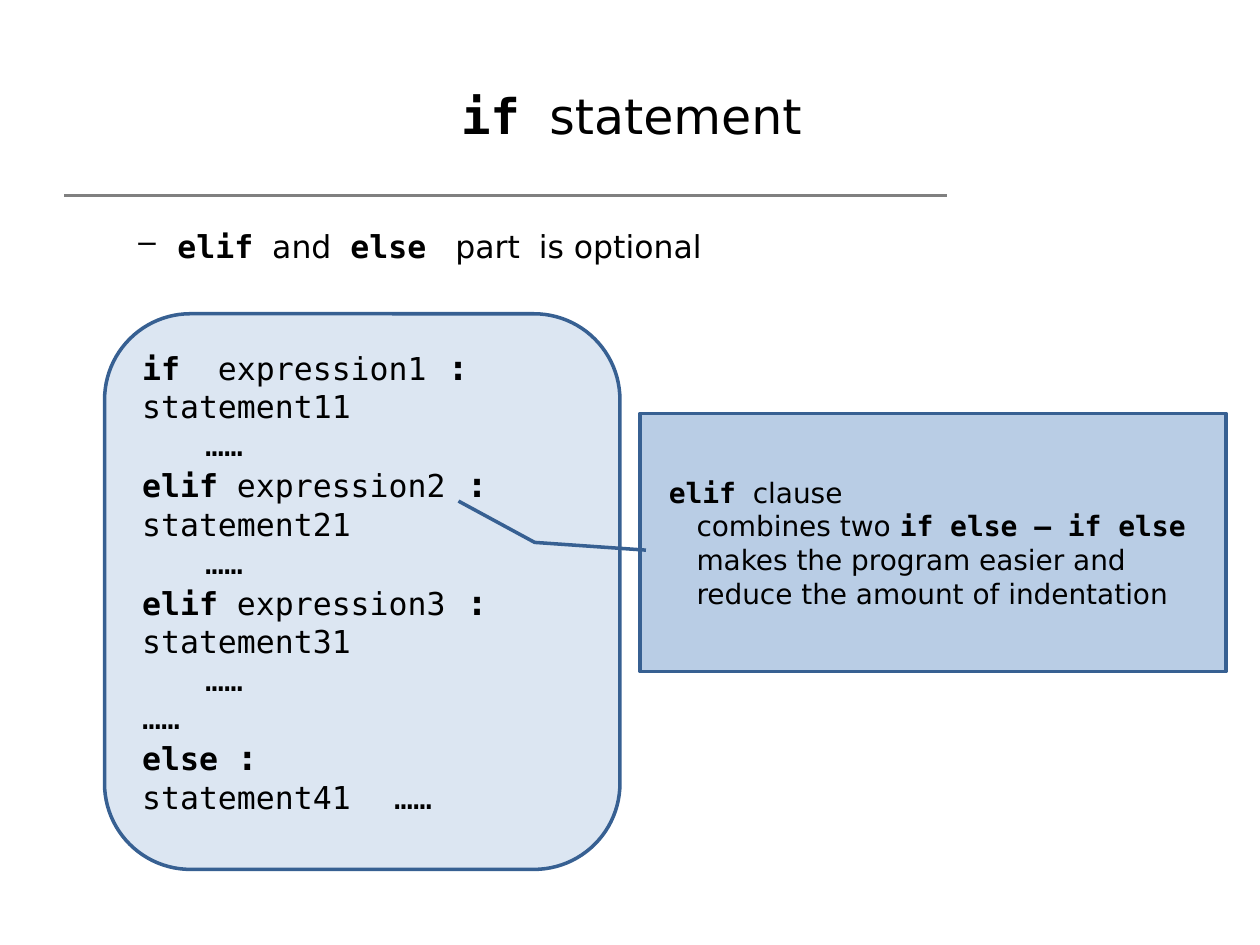
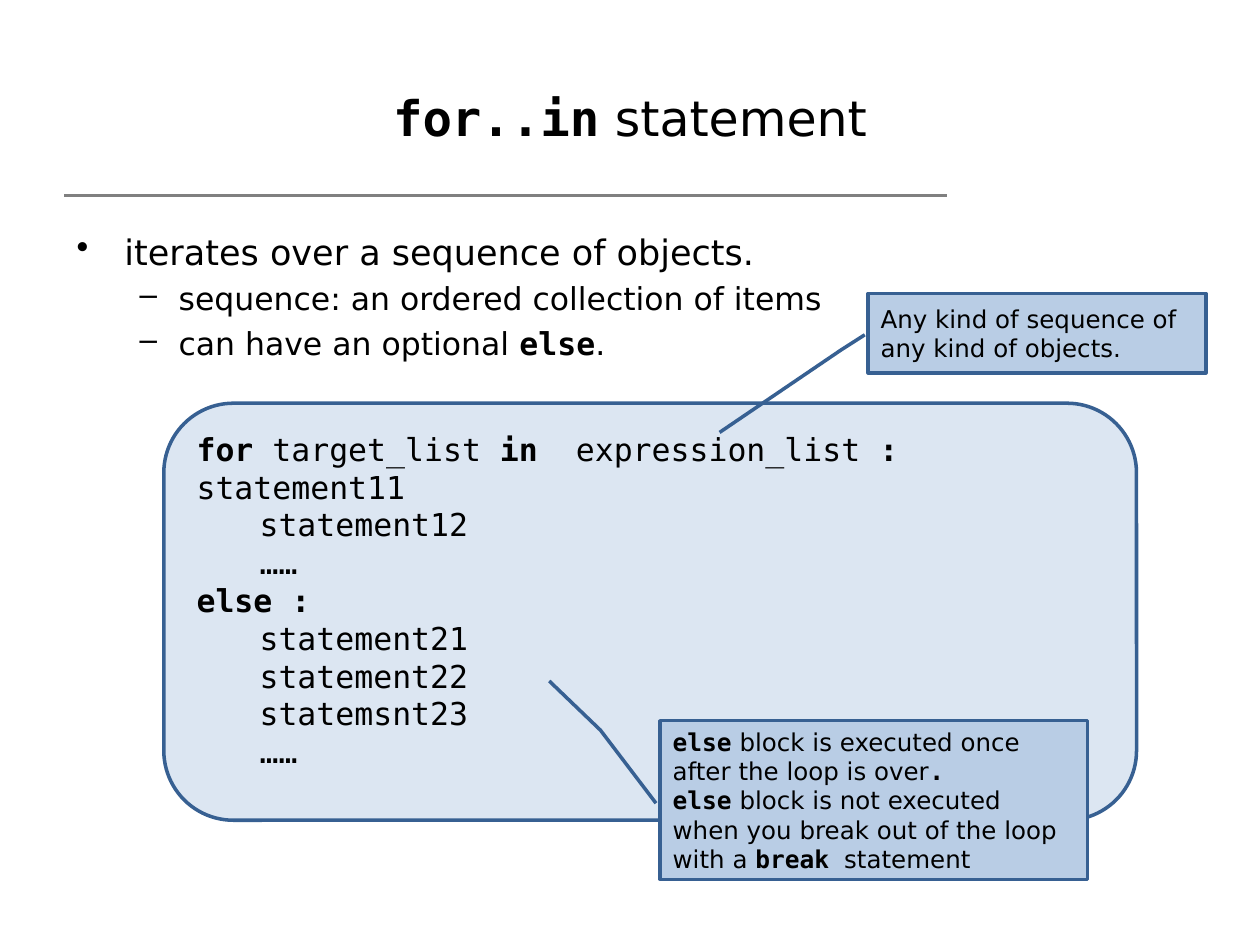
"""Build two slides on the if and for..in statements."""
from dataclasses import dataclass
from typing import Optional

from lxml import etree
from pptx import Presentation
from pptx import util as u
from pptx.dml.color import RGBColor
from pptx.enum import shapes, text
from pptx.oxml import ns

PX = 9144
COLORS = {"ink": "000000", "rule": "808080", "edge": "376092", "code": "DCE6F2", "note": "B9CDE5"}
SANS, MONO = "DejaVu Sans", "DejaVu Sans Mono"
TITLE_SIZE, CODE_SIZE = 28, 18


@dataclass(frozen=True)
class Run:
    text: str
    font: str = SANS
    bold: bool = False
    size: Optional[int] = None


@dataclass(frozen=True)
class Line:
    runs: tuple[Run, ...]
    size: int
    margin: int = 0
    hanging: int = 0
    bullet: str = ""
    before: int = 0


@dataclass(frozen=True)
class Box:
    left: int
    top: int
    width: int
    height: int

    def emu(self) -> tuple[int, ...]:
        return tuple(side * PX for side in (self.left, self.top, self.width, self.height))


@dataclass(frozen=True)
class Callout:
    box: Box
    pointer: tuple[float, ...]
    lines: tuple[Line, ...]


BREAK = Run("\n", MONO)


def keyword(words: str, size: Optional[int] = None) -> Run:
    return Run(words, MONO, True, size)


def code(words: str) -> Run:
    return Run(words, MONO)


def code_line(*runs: Run) -> Line:
    return Line(runs, CODE_SIZE)


def indented(words: str, bold: bool = False) -> Line:
    return code_line(Run("\t" + words, MONO, bold))


def bullet(*runs: Run, before: int = 4) -> Line:
    return Line(runs, 20, 38, 38, "•", before)


def dash(*runs: Run, before: int = 4) -> Line:
    return Line(runs, 18, 81, 31, "–", before)


def branch(word: str, condition: str, statement: str) -> tuple[Line, ...]:
    """Return a condition line with its first statement, then an ellipsis."""
    return (code_line(keyword(word), code(condition), keyword(" :", 20), BREAK, code(statement)),
            indented("……"))


def write(frame, lines: tuple[Line, ...], anchor=text.MSO_ANCHOR.TOP, align=text.PP_ALIGN.LEFT) -> None:
    frame.word_wrap = True
    frame.auto_size = text.MSO_AUTO_SIZE.NONE
    frame.vertical_anchor = anchor
    for index, line in enumerate(lines):
        paragraph = frame.paragraphs[0] if index == 0 else frame.add_paragraph()
        paragraph.alignment = align
        paragraph.space_before = u.Pt(line.before)
        properties = paragraph._p.get_or_add_pPr()
        properties.set("marL", str(line.margin * PX))
        properties.set("indent", str(-line.hanging * PX))
        if line.bullet:
            etree.SubElement(properties, ns.qn("a:buChar")).set("char", line.bullet)
        for part in line.runs:
            if part == BREAK:
                paragraph.add_line_break()
                continue
            run = paragraph.add_run()
            run.text = part.text
            run.font.name = part.font
            run.font.bold = part.bold
            run.font.size = u.Pt(part.size or line.size)
            run.font.color.rgb = RGBColor.from_string(COLORS["ink"])


def add_panel(slide, kind, box: Box, fill: str, lines: tuple[Line, ...], anchor):
    shape = slide.shapes.add_shape(kind, *box.emu())
    shape.shadow.inherit = False
    shape.fill.solid()
    shape.fill.fore_color.rgb = RGBColor.from_string(COLORS[fill])
    shape.line.color.rgb = RGBColor.from_string(COLORS["edge"])
    shape.line.width = u.Pt(2)
    write(shape.text_frame, lines, anchor)
    return shape


def add_code(slide, box: Box, lines: tuple[Line, ...]) -> None:
    add_panel(slide, shapes.MSO_SHAPE.ROUNDED_RECTANGLE, box, "code", lines, text.MSO_ANCHOR.TOP)


def add_callout(slide, callout: Callout) -> None:
    shape = add_panel(slide, shapes.MSO_SHAPE.LINE_CALLOUT_2, callout.box, "note",
                      callout.lines, text.MSO_ANCHOR.MIDDLE)
    for index, value in enumerate(callout.pointer):
        shape.adjustments[index] = value


def add_rule(slide) -> None:
    rule = slide.shapes.add_connector(shapes.MSO_CONNECTOR.STRAIGHT, 51 * PX, 155 * PX, 752 * PX, 155 * PX)
    rule.line.color.rgb = RGBColor.from_string(COLORS["rule"])
    rule.line.width = u.Pt(1.75)
    etree.SubElement(rule._element.spPr, ns.qn("a:effectLst"))


def add_slide(presentation, title_box: Box, title: tuple[Run, ...], body_box: Box, body: tuple[Line, ...]):
    slide = presentation.slides.add_slide(presentation.slide_layouts[5])
    add_rule(slide)
    shape = slide.shapes.title
    shape.left, shape.top, shape.width, shape.height = title_box.emu()
    write(shape.text_frame, (Line(title, TITLE_SIZE),), text.MSO_ANCHOR.MIDDLE, text.PP_ALIGN.CENTER)
    write(slide.shapes.add_textbox(*body_box.emu()).text_frame, body)
    return slide


def build_if_slide(presentation) -> None:
    slide = add_slide(
        presentation, Box(51, 29, 900, 125), (keyword("if "), Run("statement")),
        Box(50, 175, 900, 50),
        (dash(keyword("elif "), Run("and"), keyword(" else "), Run(" part"), code(" "),
              Run("is optional"), before=0),))
    add_code(slide, Box(83, 249, 409, 441), (
        *branch("if ", " expression1", "statement11"),
        *branch("elif ", "expression2", "statement21"),
        *branch("elif ", "expression3", "statement31"),
        code_line(code("……")),
        code_line(keyword("else "), keyword(":", 20), BREAK, code("statement41\t……"))))
    add_callout(slide, Callout(
        Box(508, 328, 465, 205), (0.53, 0.01, 0.5, -0.18, 0.34, -0.31), (
            Line((keyword("elif "), Run("clause")), 16, 13),
            Line((Run("combines two "), keyword("if else – if else")), 16, 35),
            Line((Run("makes the program easier and"),), 16, 35),
            Line((Run("reduce the amount of indentation"),), 16, 35))))


def build_for_slide(presentation) -> None:
    slide = add_slide(
        presentation, Box(50, 30, 900, 125), (keyword("for..in"), Run(" statement")),
        Box(51, 178, 900, 125), (
            bullet(Run("iterates over a sequence of objects."), before=0),
            dash(Run("sequence: an ordered collection of items")),
            dash(Run("can have an optional "), keyword("else"), Run("."))))
    add_code(slide, Box(130, 320, 772, 331), (
        code_line(keyword("for "), code("target_list"), keyword(" in  "), code("expression_list "),
                  keyword(":"), BREAK, code("statement11")),
        indented("statement12"),
        indented("……"),
        code_line(keyword("else :")),
        *(indented(words) for words in ("statement21", "statement22", "statemsnt23", "……"))))
    add_callout(slide, Callout(
        Box(524, 572, 339, 126), (0.52, -0.01, 0.06, -0.14, -0.25, -0.26), (
            Line((keyword("else"), Run(" block is executed once after the loop is over"), keyword(".")), 14),
            Line((keyword("else"), Run(" block is not executed when you break out of the loop with a "),
                  keyword("break "), Run("statement")), 14))))
    add_callout(slide, Callout(
        Box(689, 233, 268, 63), (0.52, -0.01, 0.71, -0.08, 1.75, -0.44),
        (Line((Run("Any kind of sequence of any kind of objects."),), 14),)))


def main() -> None:
    presentation = Presentation()
    presentation.slide_width = 1000 * PX
    presentation.slide_height = 750 * PX
    build_if_slide(presentation)
    build_for_slide(presentation)
    presentation.save("out.pptx")


if __name__ == "__main__":
    main()
